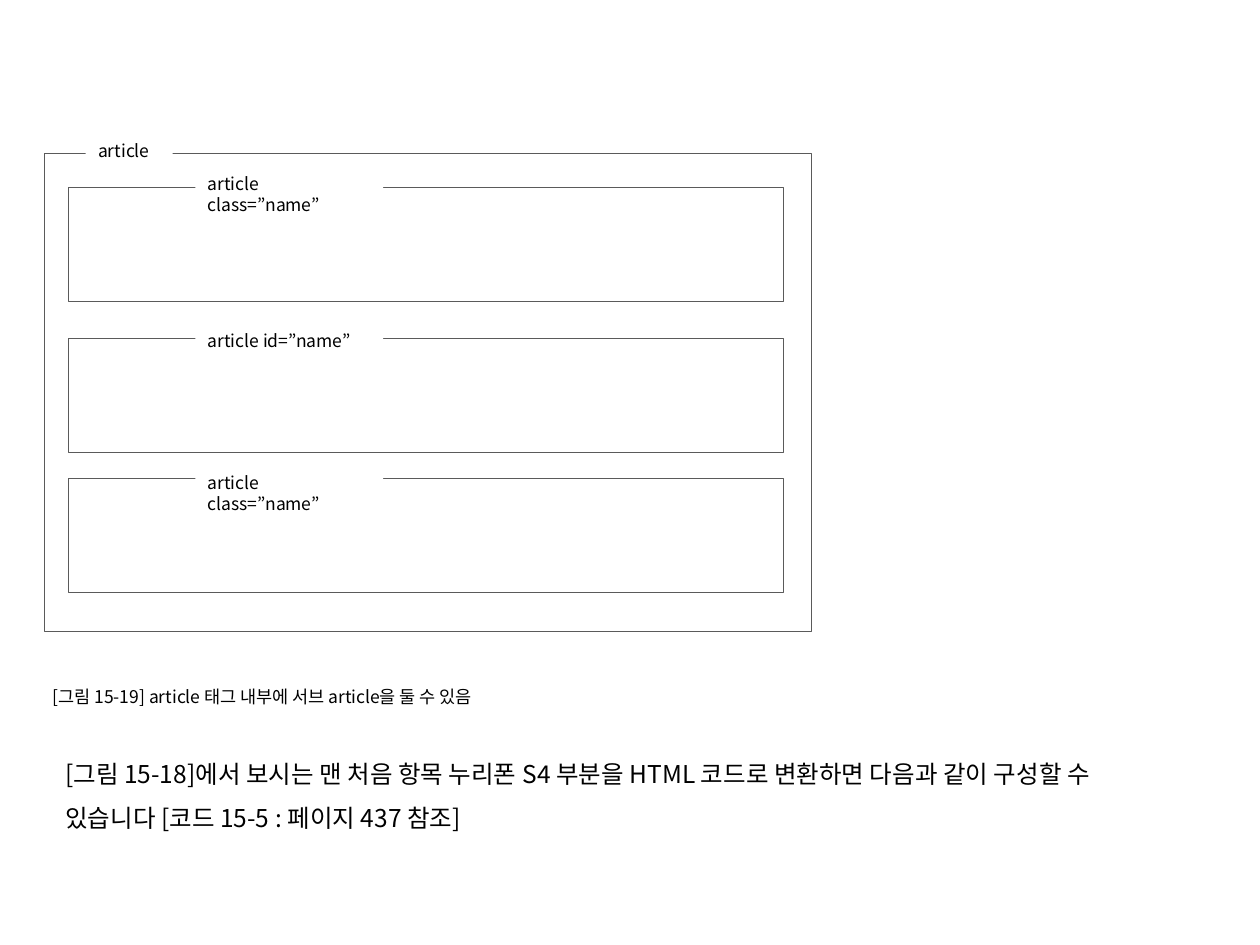
import pptx
import pptx.util
import pptx.dml.color
import pptx.enum.shapes
import pptx.enum.text
import pptx.oxml.ns
import lxml.etree

COLS, ROWS = 100, 75
FACE = "Noto Sans CJK KR"
HUES = {"line": "5A5A5A", "text": "000000", "mask": "FFFFFF"}
TOP = pptx.enum.text.MSO_ANCHOR.TOP
MID = pptx.enum.text.MSO_ANCHOR.MIDDLE
LEFT = pptx.enum.text.PP_ALIGN.LEFT

deck = pptx.Presentation()
deck.slide_width = pptx.util.Inches(10)
deck.slide_height = pptx.util.Inches(7.5)


def hue(key):
    return pptx.dml.color.RGBColor.from_string(HUES[key])


def place(box):
    left, top, wide, high = box
    col, row = deck.slide_width / COLS, deck.slide_height / ROWS
    return [round(n) for n in (left * col, top * row, wide * col, high * row)]


def apply(item, form):
    for key, value in form.items():
        setattr(item, key, value)


def write(shape, text, size, anchor=TOP, space=None):
    frame = shape.text_frame
    apply(frame, {"word_wrap": True, "vertical_anchor": anchor})
    para = frame.paragraphs[0]
    apply(para, {"alignment": LEFT, "line_spacing": space})
    run = para.add_run()
    run.text = text
    apply(run.font, {"name": FACE, "size": pptx.util.Pt(size)})
    run.font.color.rgb = hue("text")
    east = lxml.etree.SubElement(run.font._element, pptx.oxml.ns.qn("a:ea"))
    east.set("typeface", FACE)


def rect(slide, box):
    kind = pptx.enum.shapes.MSO_SHAPE.RECTANGLE
    shape = slide.shapes.add_shape(kind, *place(box))
    shape.shadow.inherit = False
    return shape


def frame(slide, box):
    shape = rect(slide, box)
    shape.fill.background()
    shape.line.color.rgb = hue("line")
    shape.line.width = pptx.util.Pt(0.5)


def label(slide, box, text):
    shape = rect(slide, box)
    shape.fill.solid()
    shape.fill.fore_color.rgb = hue("mask")
    shape.line.fill.background()
    write(shape, text, 10)


def nest(slide, box, title, parts):
    left, top, wide, high = box
    frame(slide, box)
    label(slide, (left + 3.3, top - 1.6, 6.9, 3.8), title)
    for drop, lift, text in parts:
        frame(slide, (left + 1.9, top + drop, wide - 4.1, 9))
        label(slide, (left + 12, top + drop - lift, 14.9, 3.8), text)


def note(slide, box, text, size, anchor=TOP, space=None):
    write(slide.shapes.add_textbox(*place(box)), text, size, anchor, space)


def main():
    slide = deck.slides.add_slide(deck.slide_layouts[6])
    parts = [
        (2.7, 1.7, "article class=”name”"),
        (14.7, 1.2, "article id=”name”"),
        (25.8, 1, "article class=”name”"),
    ]
    nest(slide, (3.5, 12.2, 60.9, 37.9), "article", parts)
    note(slide, (3.2, 53.5, 69.1, 3.6),
         "[그림 15-19] article 태그 내부에 서브 article을 둘 수 있음", 10, MID)
    note(slide, (4.2, 58.6, 90.4, 8.1),
         "[그림 15-18]에서 보시는 맨 처음 항목 누리폰 S4 부분을 HTML 코드로 "
         "변환하면 다음과 같이 구성할 수 있습니다 [코드 15-5 : 페이지 437 참조]",
         14, TOP, 1.5)
    deck.save("out.pptx")


if __name__ == "__main__":
    main()
